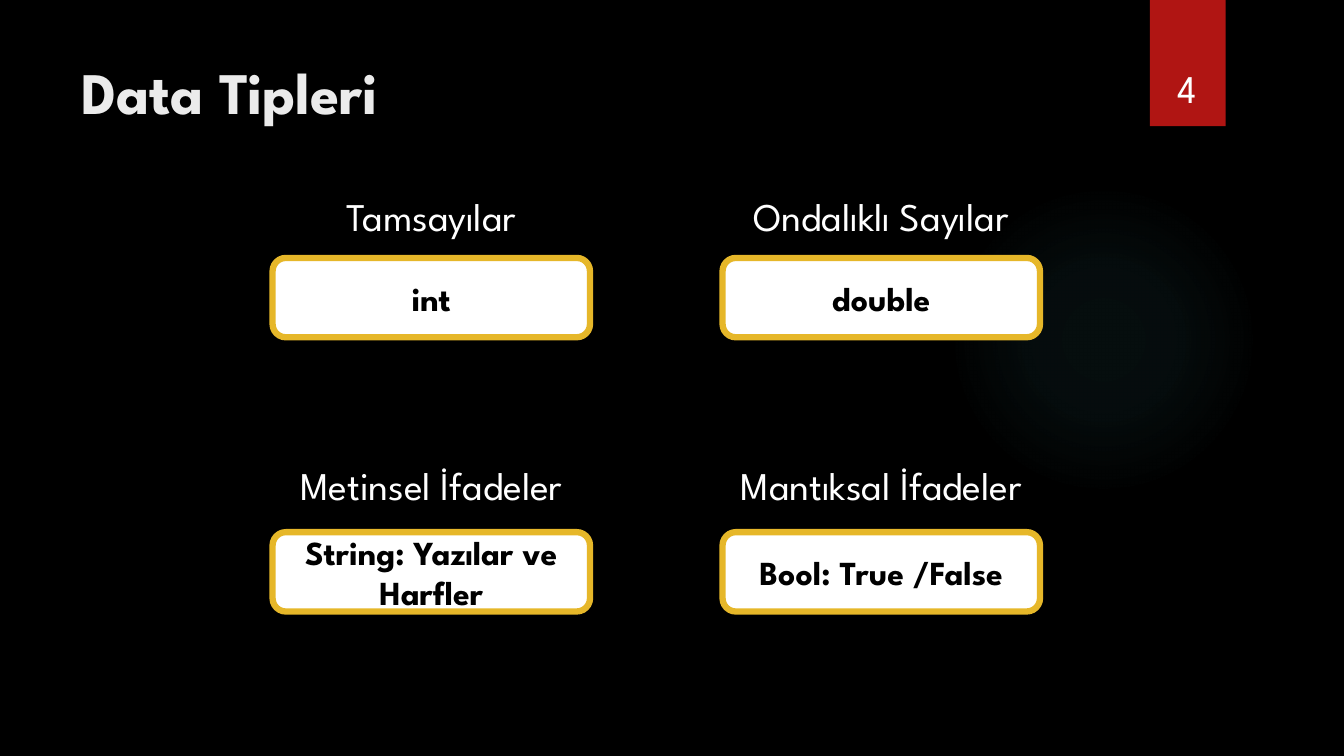
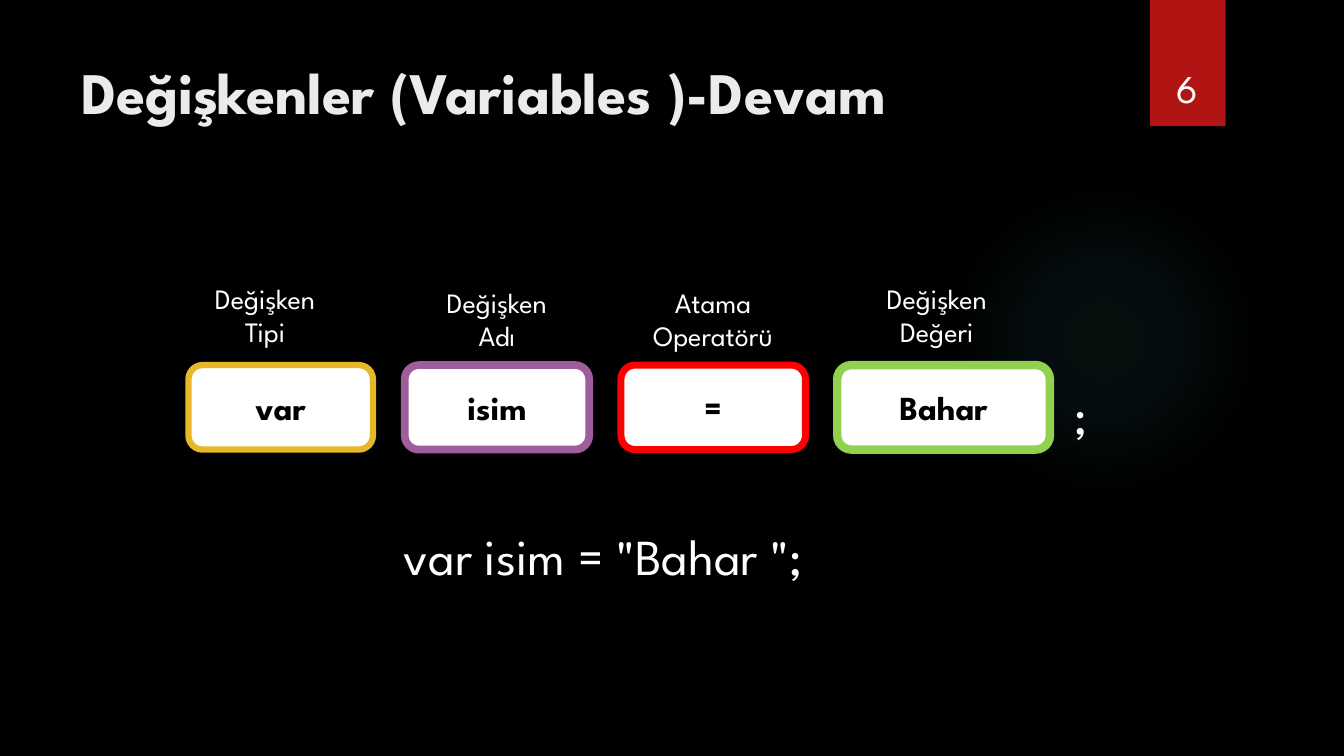
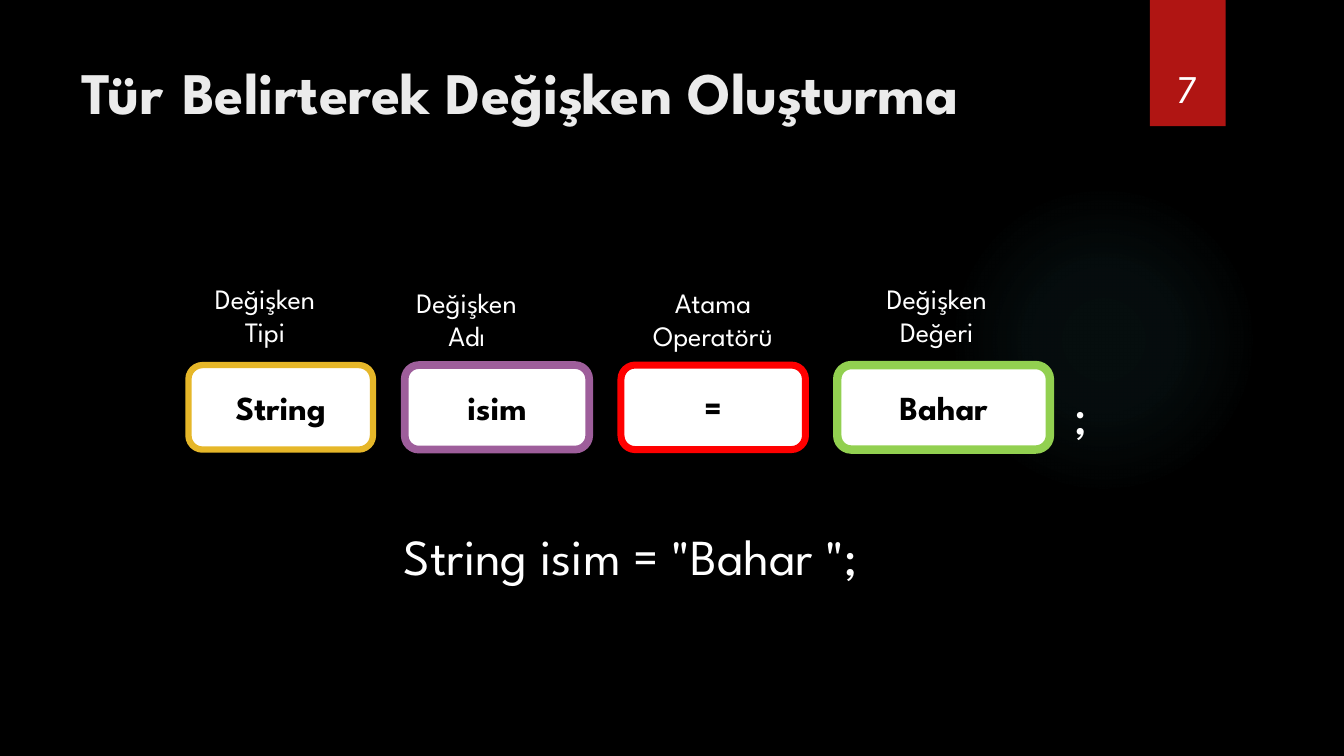
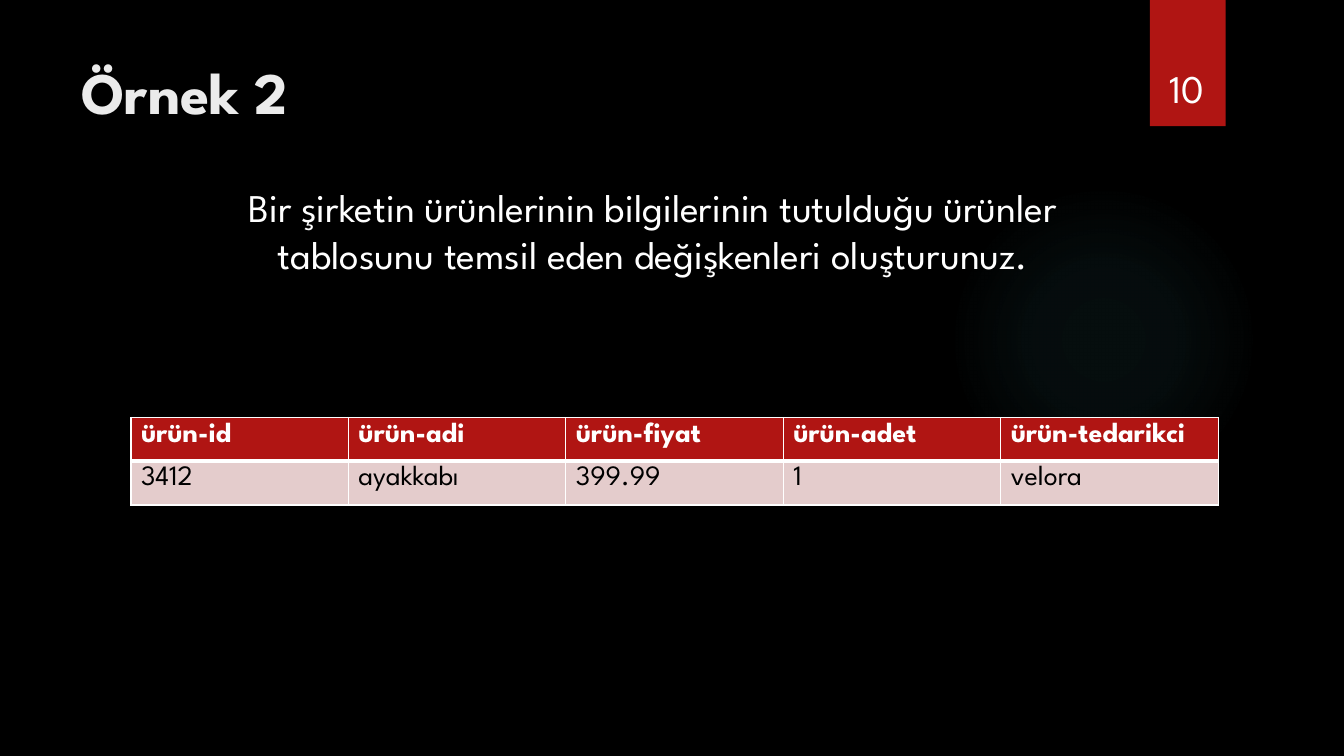
from dataclasses import dataclass, replace
from typing import Any, NamedTuple

from lxml import etree
from pptx import Presentation
from pptx import util as u
from pptx.dml.color import RGBColor
from pptx.enum import shapes, text
from pptx.oxml import parse_xml
from pptx.oxml.ns import nsdecls, qn

Cm, Pt = u.Cm, u.Pt
CENTER, LEFT = text.PP_ALIGN.CENTER, text.PP_ALIGN.LEFT
TOP, MIDDLE, BOTTOM = text.MSO_ANCHOR.TOP, text.MSO_ANCHOR.MIDDLE, text.MSO_ANCHOR.BOTTOM
BLANK_LAYOUT = 6


class TextStyle(NamedTuple):
    size: int
    color: RGBColor
    bold: bool = False


class Area(NamedTuple):
    """Left, top, width and height in centimetres."""
    left: float
    top: float
    width: float
    height: float

    def lengths(self) -> list[u.Length]:
        return [Cm(v) for v in self]


@dataclass(frozen=True)
class Theme:
    font: str = "League Spartan"
    black: RGBColor = RGBColor(0x00, 0x00, 0x00)
    white: RGBColor = RGBColor(0xFF, 0xFF, 0xFF)
    crimson: RGBColor = RGBColor(0xB0, 0x15, 0x13)
    pink: RGBColor = RGBColor(0xE4, 0xCC, 0xCC)
    glow: RGBColor = RGBColor(0x50, 0xB9, 0xC1)
    gold: RGBColor = RGBColor(0xE6, 0xB7, 0x29)
    purple: RGBColor = RGBColor(0x9E, 0x5E, 0x9B)
    red: RGBColor = RGBColor(0xFF, 0x00, 0x00)
    green: RGBColor = RGBColor(0x92, 0xD0, 0x50)
    title: TextStyle = TextStyle(42, RGBColor(0xEB, 0xEB, 0xEB), True)
    code: TextStyle = TextStyle(36, white)
    body: TextStyle = TextStyle(28, white)
    box: TextStyle = TextStyle(24, black, True)
    caption: TextStyle = TextStyle(20, white)
    table_head: TextStyle = TextStyle(20, white, True)
    table_body: TextStyle = TextStyle(20, black)


THEME = Theme()


@dataclass(frozen=True)
class DataType:
    label: str
    value: str


@dataclass(frozen=True)
class CodePart:
    """One labelled box of a statement."""
    label: str
    value: str
    color: RGBColor
    line: float
    label_center: float
    label_top: float
    width: float = 4.65


def apply(obj: Any, values: dict[str, Any]) -> None:
    for name, value in values.items():
        setattr(obj, name, value)


def write_text(tf: Any, content: str, style: TextStyle, align: Any = LEFT) -> None:
    p = tf.paragraphs[0]
    p.alignment = align
    r = p.add_run()
    r.text = content
    apply(r.font, {"name": THEME.font, "size": Pt(style.size), "bold": style.bold})
    r.font.color.rgb = style.color


def add_text(slide: Any, area: Area, content: str, style: TextStyle,
             align: Any = LEFT, anchor: Any = TOP) -> None:
    tf = slide.shapes.add_textbox(*area.lengths()).text_frame
    apply(tf, {"word_wrap": True, "vertical_anchor": anchor})
    write_text(tf, content, style, align)


def add_plain_shape(slide: Any, kind: Any, area: Area, color: RGBColor) -> Any:
    sp = slide.shapes.add_shape(kind, *area.lengths())
    sp.shadow.inherit = False
    sp.fill.solid()
    sp.fill.fore_color.rgb = color
    sp.line.fill.background()
    return sp


def add_box(slide: Any, area: Area, content: str, color: RGBColor, line: float) -> None:
    sp = add_plain_shape(slide, shapes.MSO_SHAPE.ROUNDED_RECTANGLE, area, THEME.white)
    sp.line.color.rgb = color
    sp.line.width = Pt(line)
    apply(sp.text_frame, {"word_wrap": True, "vertical_anchor": MIDDLE})
    write_text(sp.text_frame, content, THEME.box, CENTER)


def add_glow(slide: Any) -> None:
    """Faint round light that fades out towards its edge."""
    sp = add_plain_shape(slide, shapes.MSO_SHAPE.OVAL, Area(23.9, 4.65, 7.82, 7.82), THEME.glow)
    stops = "".join(
        f'<a:gs pos="{pos}000"><a:srgbClr val="{THEME.glow}"><a:alpha val="{alpha}000"/></a:srgbClr></a:gs>'
        for pos, alpha in ((0, 7), (36, 6), (69, 0)))
    gradient = parse_xml(
        f'<a:gradFill {nsdecls("a")} rotWithShape="1"><a:gsLst>{stops}</a:gsLst><a:path path="circle">'
        '<a:fillToRect l="50000" t="50000" r="50000" b="50000"/></a:path></a:gradFill>')
    props = sp.element.spPr
    props.replace(props.find(qn("a:solidFill")), gradient)


def new_slide(prs: Any, title: str, number: int) -> Any:
    slide = prs.slides.add_slide(prs.slide_layouts[BLANK_LAYOUT])
    add_glow(slide)
    add_plain_shape(slide, shapes.MSO_SHAPE.RECTANGLE, Area(28.98, 0, 1.91, 3.18), THEME.crimson)
    add_text(slide, Area(1.8, 1.27, 26.14, 3.89), title, THEME.title)
    add_text(slide, Area(28.75, 0.81, 2.34, 2.13), str(number), THEME.body, CENTER, BOTTOM)
    return slide


def add_data_types(slide: Any, rows: list[list[DataType]]) -> None:
    width, label_width = 8, 9.4
    for (label_top, box_top), row in zip(((4.72, 6.5), (11.51, 13.41)), rows):
        for left, item in zip((6.87, 18.21), row):
            label_left = left + (width - label_width) / 2
            add_text(slide, Area(label_left, label_top, label_width, 1.45),
                     item.label, THEME.body, CENTER)
            add_box(slide, Area(left, box_top, width, 2), item.value, THEME.gold, 4.5)


def add_statement(slide: Any, parts: list[CodePart], code: str) -> None:
    """Draw the labelled boxes, the closing semicolon and the line of code."""
    label_width = 3.75
    for i, part in enumerate(parts):
        add_box(slide, Area(4.75 + 5.45 * i, 9.2, part.width, 2.13),
                part.value, part.color, part.line)
        add_text(slide, Area(part.label_center - label_width / 2, part.label_top, label_width, 1.96),
                 part.label, THEME.caption, CENTER)
    add_text(slide, Area(26.82, 9.55, 1, 1.8), ";", THEME.code)
    add_text(slide, Area(9.93, 13.11, 15, 1.8), code, THEME.code)


def set_borders(cell: Any, widths: dict[str, float]) -> None:
    tc_pr = cell._tc.get_or_add_tcPr()
    for side, width in widths.items():
        ln = etree.SubElement(tc_pr, qn(f"a:ln{side}"), w=str(Pt(width)))
        fill = etree.SubElement(ln, qn("a:solidFill"))
        etree.SubElement(fill, qn("a:srgbClr"), val=str(THEME.white))


def add_product_table(slide: Any, rows: list[list[str]]) -> None:
    col_width, row_height = 5.48, 1.04
    n_rows, n_cols = len(rows), len(rows[0])
    area = Area(3.3, 10.52, col_width * n_cols, row_height * n_rows)
    table = slide.shapes.add_table(n_rows, n_cols, *area.lengths()).table
    looks = ((THEME.table_head, THEME.crimson, {"L": 1, "R": 1, "T": 1, "B": 3}),
             (THEME.table_body, THEME.pink, {"L": 1, "R": 1, "T": 3, "B": 1}))
    for i, (values, (style, color, borders)) in enumerate(zip(rows, looks)):
        for j, value in enumerate(values):
            cell = table.cell(i, j)
            set_borders(cell, borders)
            cell.fill.solid()
            cell.fill.fore_color.rgb = color
            write_text(cell.text_frame, value, style)


def main() -> None:
    prs = Presentation()
    apply(prs, {"slide_width": Cm(33.87), "slide_height": Cm(19.05)})
    background = prs.slide_master.background.fill
    background.solid()
    background.fore_color.rgb = THEME.black

    add_data_types(new_slide(prs, "Data Tipleri", 4), [
        [DataType("Tamsayılar", "int"), DataType("Ondalıklı Sayılar", "double")],
        [DataType("Metinsel İfadeler", "String: Yazılar ve Harfler"),
         DataType("Mantıksal İfadeler", "Bool: True /False")],
    ])

    kind = CodePart("Değişken Tipi", "var", THEME.gold, 4.5, 6.68, 6.96)
    name = CodePart("Değişken Adı", "isim", THEME.purple, 5.5, 12.52, 7.06)
    operator = CodePart("Atama Operatörü", "=", THEME.red, 5, 17.97, 7.06)
    value = CodePart("Değişken Değeri", "Bahar", THEME.green, 6, 23.61, 6.96, 5.36)
    add_statement(new_slide(prs, "Değişkenler (Variables )-Devam", 6),
                  [kind, name, operator, value], 'var isim = "Bahar ";')
    add_statement(new_slide(prs, "Tür\tBelirterek Değişken Oluşturma", 7),
                  [replace(kind, value="String"), replace(name, label_center=11.76), operator, value],
                  'String isim = "Bahar ";')

    slide = new_slide(prs, "Örnek 2", 10)
    add_product_table(slide, [
        ["ürün-id", "ürün-adi", "ürün-fiyat", "ürün-adet", "ürün-tedarikci"],
        ["3412", "ayakkabı", "399.99", "1", "velora"],
    ])
    add_text(slide, Area(4.72, 4.5, 23.47, 2.64),
             "Bir şirketin ürünlerinin bilgilerinin tutulduğu ürünler "
             "tablosunu temsil eden değişkenleri oluşturunuz.", THEME.body, CENTER)

    prs.save("out.pptx")


if __name__ == "__main__":
    main()
